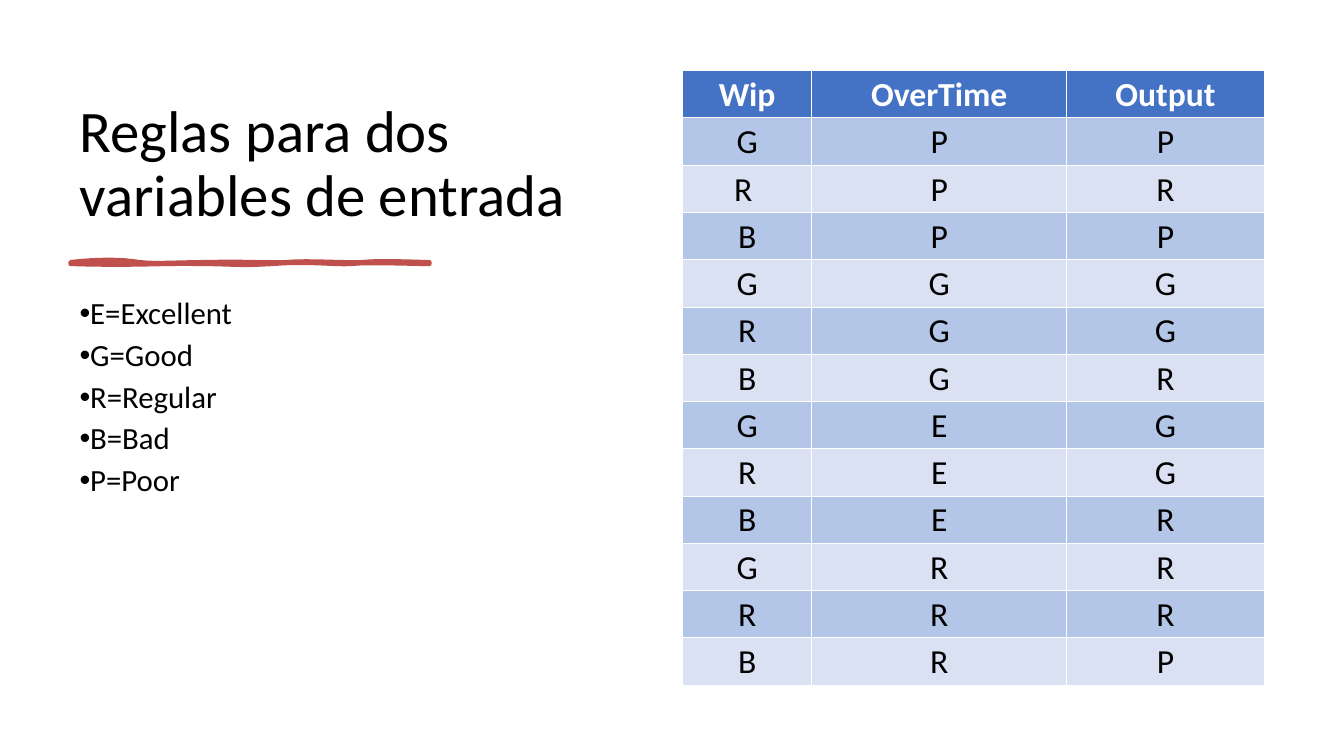
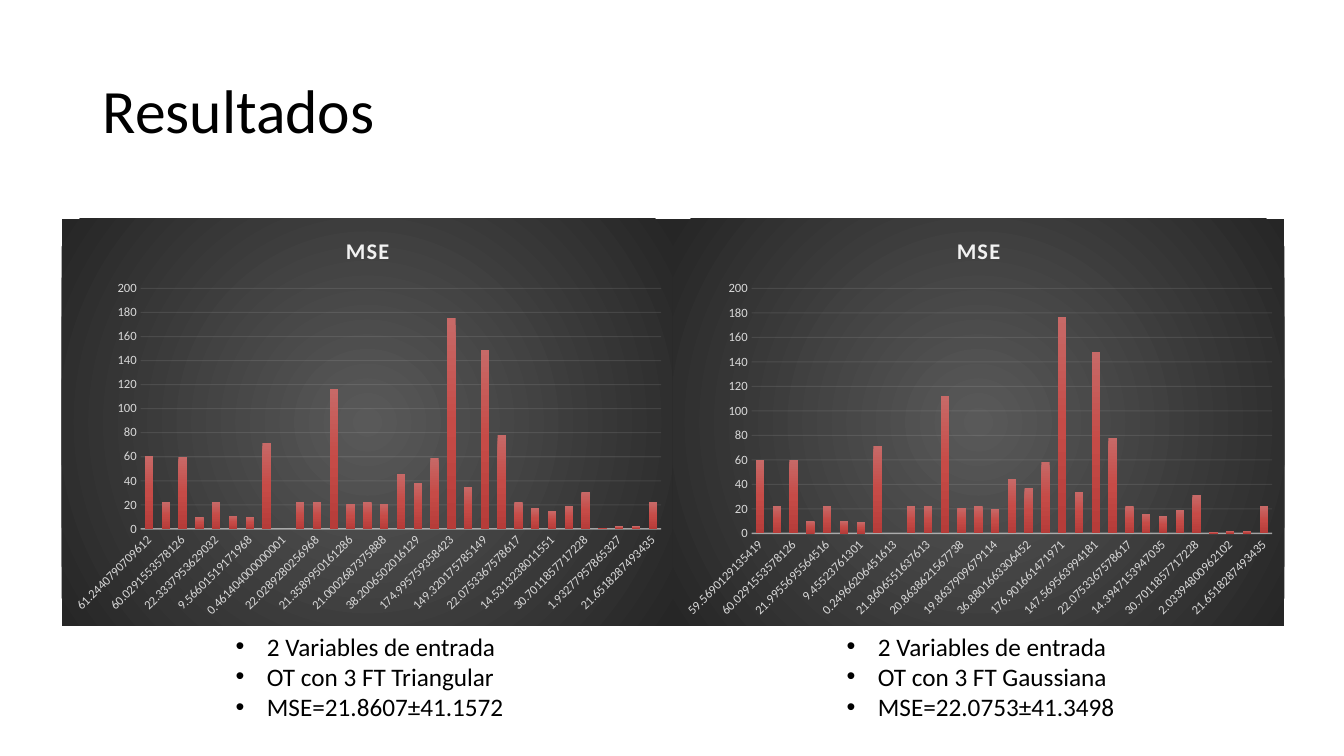
import lxml.etree
import pptx
import pptx.chart.data
import pptx.dml.color
import pptx.enum.chart
import pptx.enum.text
import pptx.oxml
import pptx.oxml.ns
import pptx.util

FONT = "Calibri"
BLACK, WHITE, ACCENT = "000000", "FFFFFF", "C0504D"
HEADER, BAND_DARK, BAND_LIGHT = "4472C4", "B4C6E7", "D9E1F2"
CHART_LIGHT, CHART_LABEL = "F2F2F2", "D9D9D9"
CHART_BACK = ((0, "595959"), (100, "262626"))
BAR_FILL = ((0, "C76967"), (50, "C64B47"), (100, "B63C39"))
WIDTH, HEIGHT = pptx.util.Inches(13.33), pptx.util.Inches(7.5)
PANEL_STEP = 45.46
ANCHOR = pptx.enum.text.MSO_ANCHOR
NS = 'xmlns:a="http://schemas.openxmlformats.org/drawingml/2006/main"'
qn = pptx.oxml.ns.qn

RULES = ["GPP", ("R ", "P", "R"), "BPP", "GGG", "RGG", "BGR",
         "GEG", "REG", "BER", "GRR", "RRR", "BRP"]

STROKE_START = (0.7, 2.6)
STROKE_CURVES = [
    (0.97, 2.57, 1.21, 2.57, 1.38, 2.6), (1.55, 2.62, 1.77, 2.6, 2.09, 2.6),
    (2.41, 2.59, 2.6, 2.61, 2.84, 2.6), (3.08, 2.58, 3.39, 2.61, 3.59, 2.6),
    (3.79, 2.58, 4.12, 2.6, 4.26, 2.6), (4.26, 2.6, 4.26, 2.61, 4.26, 2.62),
    (4.08, 2.62, 3.64, 2.6, 3.48, 2.62), (3.32, 2.63, 3.04, 2.59, 2.7, 2.62),
    (2.35, 2.64, 2.31, 2.62, 1.99, 2.62), (1.66, 2.61, 1.32, 2.64, 0.7, 2.62),
]

TRIANGULAR = """
61.2440790709612 22.2397623448781 60.0291553578126 9.71254903562922
22.3337953629032 10.5828950167999 9.56601519171968 70.6667633480624
0.461404000000001 21.5931574530318 22.0289280256968 116.252411075483
21.3589950161286 22.1833532959984 21.0002687375888 45.8784727822581
38.2006502016129 58.8810880625739 174.995759358423 35.259135452257
149.320175785149 78.2905608084545 22.0753367578617 17.1239225806452
14.5313238011551 18.9701196259164 30.7011857717228 0.954826493491985
1.93277957865327 1.70615998332944 21.6518287493435
""".split()
GAUSSIAN = """
59.5690129135419 22.0706846081039 60.0291553578126 9.93773506014534
21.9955695564516 10.2352299387354 9.45523761301 70.6667633480624
0.24966206451613 21.5931574530318 21.8606551637613 112.031117472903
20.8638621567738 21.5117731979338 19.8637909679114 44.4302469758065
36.8801663306452 57.7837025012836 176.901661471971 34.411108288386
147.569563994181 77.9730468297448 22.0753367578617 16.243664516129
14.3947153947035 18.9701196259164 30.7011857717228 0.954826493491985
2.03394800962102 1.84982354010363 21.6518287493435
""".split()
RESULTS = [
    (TRIANGULAR, ["2 Variables de entrada", "OT con 3 FT Triangular",
                  "MSE=21.8607±41.1572"]),
    (GAUSSIAN, ["2 Variables de entrada", "OT con 3 FT Gaussiana",
                "MSE=22.0753±41.3498"]),
]


def rgb(color):
    """Turn a hex string into a colour."""
    return pptx.dml.color.RGBColor.from_string(color)


def box(left, top, width, height):
    """Turn percentages of the slide's size into lengths."""
    return [pptx.util.Emu(round(share * side / 100)) for share, side in
            ((left, WIDTH), (top, HEIGHT), (width, WIDTH), (height, HEIGHT))]


def style_font(font, size, color, bold=False):
    """Set the shared typeface with a size, colour and weight."""
    font.name, font.size, font.bold = FONT, pptx.util.Pt(size), bold
    font.color.rgb = rgb(color)


def add_run(p, text, size, color=BLACK, bold=False):
    """Append one styled run to a paragraph."""
    r = p.add_run()
    r.text = text
    style_font(r.font, size, color, bold)


def add_bullet(p, margin, indent):
    """Give a paragraph a round bullet with indents in inches."""
    pPr = p._p.get_or_add_pPr()
    pPr.set("marL", str(pptx.util.Inches(margin)))
    pPr.set("indent", str(pptx.util.Inches(indent)))
    pPr.append(pptx.oxml.parse_xml(f'<a:buFont {NS} typeface="Arial"/>'))
    pPr.append(pptx.oxml.parse_xml(f'<a:buChar {NS} char="•"/>'))


def add_text(s, place, lines, size, anchor=ANCHOR.TOP, spacing=None,
             after=0, bullet=None):
    """Add a text box with one paragraph for each line."""
    tf = s.shapes.add_textbox(*box(*place)).text_frame
    tf.word_wrap, tf.vertical_anchor = True, anchor
    for i, line in enumerate(lines):
        p = tf.add_paragraph() if i else tf.paragraphs[0]
        p.line_spacing, p.space_after = spacing, pptx.util.Pt(after)
        if bullet:
            add_bullet(p, *bullet)
        add_run(p, line, size)


def add_title(s, place, text, size, anchor):
    """Add a slide title."""
    add_text(s, place, [text], size, anchor, spacing=0.9)


def curve_points(start, curves, steps=8):
    """Sample a chain of cubic curves, in inches."""
    x0, y0 = start
    for x1, y1, x2, y2, x3, y3 in curves:
        for t in (i / steps for i in range(1, steps + 1)):
            u = 1 - t
            yield tuple(pptx.util.Inches(
                u**3 * a + 3 * u * u * t * b + 3 * u * t * t * c + t**3 * d)
                for a, b, c, d in ((x0, x1, x2, x3), (y0, y1, y2, y3)))
        x0, y0 = x3, y3


def add_brush_stroke(s):
    """Draw the wavy rule under the title."""
    x, y = (pptx.util.Inches(v) for v in STROKE_START)
    builder = s.shapes.build_freeform(x, y)
    builder.add_line_segments(curve_points(STROKE_START, STROKE_CURVES))
    sp = builder.convert_to_shape()
    sp.shadow.inherit = False
    sp.fill.solid()
    sp.fill.fore_color.rgb = rgb(ACCENT)
    sp.line.color.rgb = rgb(ACCENT)
    sp.line.width = pptx.util.Pt(3)


def fill_cell(cell, text, fill, color, bold):
    """Write one centred table cell with thin white borders."""
    cell.margin_left = cell.margin_right = cell.margin_top = pptx.util.Inches(0.02)
    cell.margin_bottom = 0
    cell.vertical_anchor = ANCHOR.MIDDLE
    cell.fill.solid()
    cell.fill.fore_color.rgb = rgb(fill)
    p = cell.text_frame.paragraphs[0]
    p.alignment = pptx.enum.text.PP_ALIGN.CENTER
    add_run(p, text, 24, color, bold)
    tcPr = cell._tc.get_or_add_tcPr()
    for i, side in enumerate("LRTB"):
        tcPr.insert(i, pptx.oxml.parse_xml(
            f'<a:ln{side} {NS} w="{pptx.util.Pt(0.5)}"><a:solidFill>'
            f'<a:srgbClr val="{WHITE}"/></a:solidFill></a:ln{side}>'))


def add_rules_table(s, place, widths, header, rows):
    """Add the banded table of rules."""
    table = s.shapes.add_table(len(rows) + 1, len(header), *box(*place)).table
    for column, width in zip(table.columns, widths):
        column.width = box(width, 0, 0, 0)[0]
    for i, row in enumerate([header, *rows]):
        fill = (BAND_DARK if i % 2 else BAND_LIGHT) if i else HEADER
        for j, text in enumerate(row):
            fill_cell(table.cell(i, j), text, fill, BLACK if i else WHITE, not i)


def gradient(stops, direction):
    """Build a gradient fill from stops and a direction element."""
    stops = "".join(f'<a:gs pos="{pos * 1000}"><a:srgbClr val="{color}"/></a:gs>'
                    for pos, color in stops)
    return f'<a:gradFill {NS}><a:gsLst>{stops}</a:gsLst>{direction}</a:gradFill>'


def style_line(line, width, opacity):
    """Set a light, partly transparent chart line."""
    line.width = pptx.util.Pt(width)
    line.color.rgb = rgb(CHART_LIGHT)
    color = line._ln.find(".//" + qn("a:srgbClr"))
    lxml.etree.SubElement(color, qn("a:alpha")).set("val", str(opacity * 1000))


def style_axes(chart):
    """Style both axes and the gridlines."""
    for axis in (chart.category_axis, chart.value_axis):
        axis.major_tick_mark = pptx.enum.chart.XL_TICK_MARK.NONE
        axis.minor_tick_mark = pptx.enum.chart.XL_TICK_MARK.NONE
        style_font(axis.tick_labels.font, 9, CHART_LABEL)
    style_line(chart.category_axis.format.line, 1, 54)
    chart.category_axis._element.txPr.bodyPr.set("rot", "-2700000")
    value = chart.value_axis
    value.minimum_scale, value.maximum_scale, value.major_unit = 0, 200, 20
    value.format.line.fill.background()
    style_line(value.major_gridlines.format.line, 0.75, 10)


def add_error_chart(s, place, labels):
    """Add a dark column chart of the errors, rounded to whole values."""
    data = pptx.chart.data.CategoryChartData()
    data.categories = labels
    data.add_series("MSE", [round(float(label)) for label in labels])
    chart = s.shapes.add_chart(pptx.enum.chart.XL_CHART_TYPE.COLUMN_CLUSTERED,
                               *box(*place), data).chart
    style_font(chart.font, 10, BLACK)
    chart.has_legend = False
    p = chart.chart_title.text_frame.paragraphs[0]
    add_run(p, "MSE", 16, CHART_LIGHT, True)
    p.runs[0].font._element.set("spc", "100")
    style_axes(chart)
    plot = chart.plots[0]
    plot.gap_width, plot.overlap, plot.vary_by_categories = 100, -24, False
    bars = gradient(BAR_FILL, '<a:lin ang="5400000" scaled="0"/>')
    plot.series[0]._element.get_or_add_spPr().append(pptx.oxml.parse_xml(bars))
    centre = '<a:fillToRect l="50000" t="50000" r="50000" b="50000"/>'
    back = gradient(CHART_BACK, f'<a:path path="circle">{centre}</a:path>')
    spPr = lxml.etree.Element(qn("c:spPr"))
    spPr.append(pptx.oxml.parse_xml(back))
    spPr.append(pptx.oxml.parse_xml(f"<a:ln {NS}><a:noFill/></a:ln>"))
    chart._chartSpace.find(qn("c:chart")).addnext(spPr)


def build_rules(s):
    """Build the slide with the rules."""
    add_title(s, (5.18, 9.33, 39.53, 21.6),
              "Reglas para dos variables de entrada", 42, ANCHOR.BOTTOM)
    add_brush_stroke(s)
    add_text(s, (5.18, 38.8, 39.53, 51.73),
             ["E=Excellent", "G=Good", "R=Regular", "B=Bad", "P=Poor"],
             22, spacing=0.9, after=6, bullet=(0, -0.25))
    add_rules_table(s, (50.79, 9.33, 43.28, 81.33), (9.6, 18.98, 14.7),
                    ("Wip", "OverTime", "Output"), RULES)


def build_results(s):
    """Build the slide with the results."""
    add_title(s, (6.9, 5.33, 86.27, 19.33), "Resultados", 44, ANCHOR.MIDDLE)
    for i, (labels, notes) in enumerate(RESULTS):
        shift = i * PANEL_STEP
        add_error_chart(s, (4.58 + shift, 28.93, 45.53, 53.87), labels)
        add_text(s, (16.8 + shift, 82.8, 22.58, 13.47), notes, 18,
                 bullet=(0.31, -0.31))


def main():
    """Build and save the presentation."""
    prs = pptx.Presentation()
    prs.slide_width, prs.slide_height = WIDTH, HEIGHT
    for build in (build_rules, build_results):
        build(prs.slides.add_slide(prs.slide_layouts[6]))
    prs.save("out.pptx")


if __name__ == "__main__":
    main()
